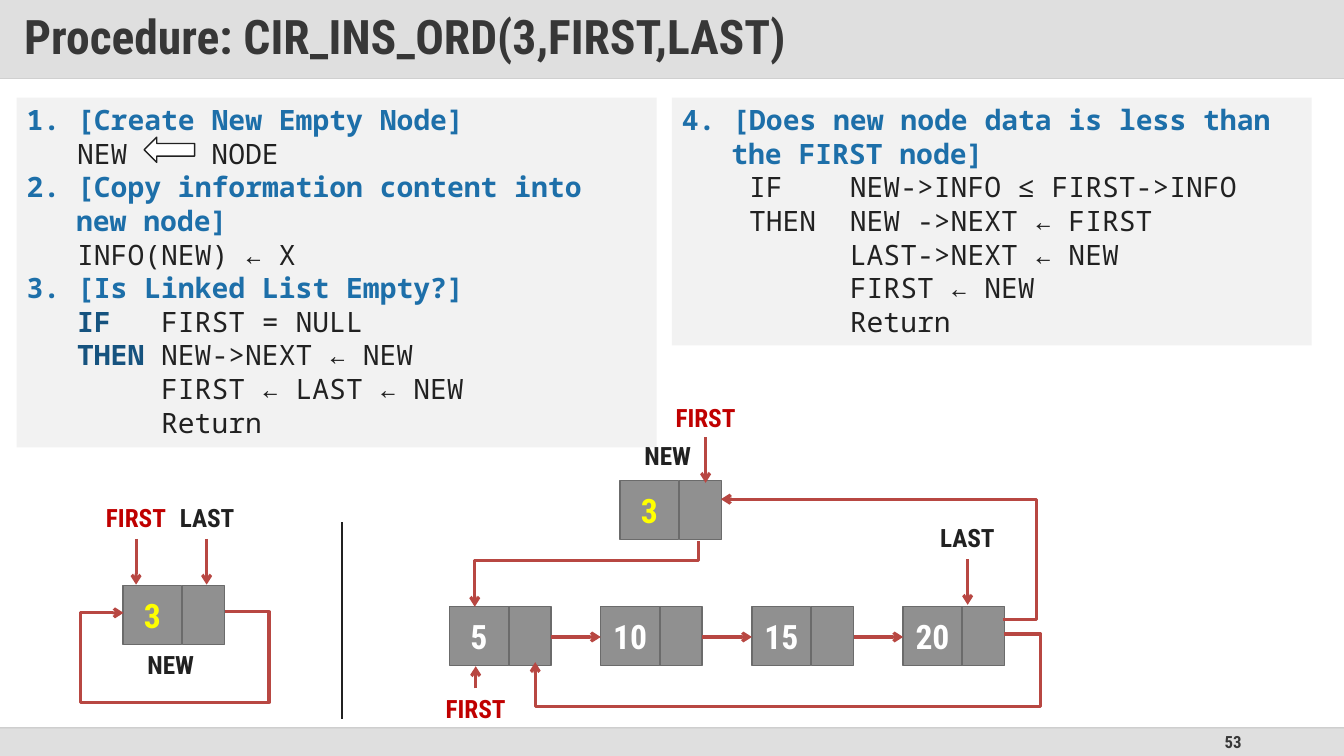
from lxml.etree import SubElement
from pptx import Presentation
from pptx.dml.color import RGBColor
from pptx.enum.shapes import MSO_CONNECTOR, MSO_SHAPE
from pptx.enum.text import MSO_ANCHOR, PP_ALIGN
from pptx.oxml.ns import qn
from pptx.util import Pt

WHITE = RGBColor(0xFF, 0xFF, 0xFF)
PANEL_GRAY = RGBColor(0xF2, 0xF2, 0xF2)
FOOTER_GRAY = RGBColor(0xDF, 0xDF, 0xDF)
TITLE_GRAY = RGBColor(0xC0, 0xC0, 0xC0)
TOP_RULE = RGBColor(0xD9, 0xD9, 0xD9)
BOTTOM_RULE = RGBColor(0xBF, 0xBF, 0xBF)
NODE_FILL = RGBColor(0x90, 0x90, 0x90)
NODE_BORDER = RGBColor(0x6B, 0x6B, 0x6B)
HEADING_GRAY = RGBColor(0x37, 0x37, 0x37)
INK = RGBColor(0x21, 0x21, 0x21)
STEP_BLUE = RGBColor(0x1D, 0x6F, 0xA9)
KEYWORD_BLUE = RGBColor(0x16, 0x53, 0x7F)
ARROW_RED = RGBColor(0xB8, 0x47, 0x42)
FIRST_RED = RGBColor(0xC0, 0x00, 0x00)
YELLOW = RGBColor(0xFF, 0xFF, 0x00)

HEADING_FONT = "Roboto Condensed"
CODE_FONT = "Noto Sans Mono"
NODE_SIZE = 42
POINTER_OFFSET = 42.5
POINTER_WIDTH = 30
STEP_INDENT = 35.28


def set_opacity(shape, percent):
    color = next(shape._element.spPr.iter(qn("a:srgbClr")))
    SubElement(color, qn("a:alpha")).set("val", str(percent * 1000))


def add_tab_stops(paragraph, positions):
    tab_list = SubElement(paragraph._p.get_or_add_pPr(), qn("a:tabLst"))
    for position in positions:
        tab = SubElement(tab_list, qn("a:tab"))
        tab.set("pos", str(Pt(position)))
        tab.set("algn", "l")


class SlideBuilder:
    def __init__(self, slide):
        self.slide = slide

    def style_paragraph(self, paragraph, size, color, name=HEADING_FONT, bold=True):
        font = paragraph.font
        font.name, font.size, font.bold = name, Pt(size), bold
        font.color.rgb = color

    def shape(self, left, top, width, height, fill, border=None, kind=MSO_SHAPE.RECTANGLE):
        shape = self.slide.shapes.add_shape(kind, Pt(left), Pt(top), Pt(width), Pt(height))
        shape.shadow.inherit = False
        shape.fill.solid()
        shape.fill.fore_color.rgb = fill
        if border is None:
            shape.line.fill.background()
        else:
            shape.line.color.rgb = border
            shape.line.width = Pt(1)
        return shape

    def text(self, shape, text, size, color, align=PP_ALIGN.CENTER, anchor=MSO_ANCHOR.MIDDLE):
        shape.text_frame.vertical_anchor = anchor
        paragraph = shape.text_frame.paragraphs[0]
        paragraph.text = text
        paragraph.alignment = align
        self.style_paragraph(paragraph, size, color)
        return paragraph

    def text_box(self, left, top, width, height):
        return self.slide.shapes.add_textbox(Pt(left), Pt(top), Pt(width), Pt(height))

    def label(self, center, top, text, color=INK):
        box = self.text_box(center - 29, top, 58, 29)
        box.text_frame.word_wrap = False
        self.text(box, text, 18, color, anchor=MSO_ANCHOR.TOP)

    def line(self, start, end, color, width):
        connector = self.slide.shapes.add_connector(
            MSO_CONNECTOR.STRAIGHT, *(Pt(value) for value in start + end))
        connector.line.color.rgb = color
        connector.line.width = Pt(width)
        SubElement(connector._element.spPr, qn("a:effectLst"))
        return connector

    def arrow(self, *points):
        """Draw a straight arrow through two points, or a bent one through more."""
        if len(points) == 2:
            shape = self.line(*points, ARROW_RED, 2.25)
        else:
            corners = [(Pt(x), Pt(y)) for x, y in points]
            builder = self.slide.shapes.build_freeform(*corners[0])
            builder.add_line_segments(corners[1:], close=False)
            shape = builder.convert_to_shape()
            shape.shadow.inherit = False
            shape.fill.background()
            shape.line.color.rgb = ARROW_RED
            shape.line.width = Pt(2.25)
        outline = shape._element.spPr.find(qn("a:ln"))
        SubElement(outline, qn("a:tailEnd")).set("type", "arrow")

    def node(self, left, top, value, color=WHITE):
        data = self.shape(left, top, NODE_SIZE, NODE_SIZE, NODE_FILL, NODE_BORDER)
        self.text(data, value, 24, color)
        self.shape(left + POINTER_OFFSET, top, POINTER_WIDTH, NODE_SIZE, NODE_FILL, NODE_BORDER)

    def code_panel(self, left, height, tab_stops, lines):
        """Fill a panel; numbered lines are steps, (keyword, rest) lines have a bold keyword."""
        panel = self.shape(left, 69.8, 457, height, PANEL_GRAY)
        frame = panel.text_frame
        frame.word_wrap = True
        frame.vertical_anchor = MSO_ANCHOR.TOP
        for index, line in enumerate(lines):
            paragraph = frame.paragraphs[0] if index == 0 else frame.add_paragraph()
            paragraph.alignment = PP_ALIGN.LEFT
            is_step = line[0][0].isdigit()
            if is_step:
                properties = paragraph._p.get_or_add_pPr()
                properties.set("marL", str(Pt(STEP_INDENT)))
                properties.set("indent", str(-Pt(STEP_INDENT)))
            else:
                add_tab_stops(paragraph, tab_stops)
            self.style_paragraph(paragraph, 20, STEP_BLUE if is_step else INK, CODE_FONT, is_step)
            if isinstance(line, tuple):
                keyword = paragraph.add_run()
                keyword.text = line[0]
                keyword.font.bold = True
                keyword.font.color.rgb = KEYWORD_BLUE
                paragraph.add_run().text = line[1]
            else:
                paragraph.add_run().text = line


def add_frame(builder):
    builder.shape(0, 519.8, 960, 20.2, FOOTER_GRAY)
    number = builder.text_box(678, 519.8, 216, 20.2)
    builder.text(number, "53", 12, HEADING_GRAY, PP_ALIGN.RIGHT)
    builder.line((0, 56.2), (960, 56.2), TOP_RULE, 1)
    set_opacity(builder.line((0, 519.8), (960, 519.8), BOTTOM_RULE, 1), 70)
    title = builder.shape(0, 0, 960, 56.2, TITLE_GRAY)
    set_opacity(title, 50)
    frame = title.text_frame
    frame.word_wrap = True
    frame.margin_left = frame.margin_right = Pt(17.3)
    frame.margin_top = frame.margin_bottom = Pt(8.6)
    heading = builder.text(title, "Procedure: CIR_INS_ORD(3,FIRST,LAST)", 34, HEADING_GRAY, PP_ALIGN.LEFT)
    heading.line_spacing = 0.9


def add_procedure(builder):
    builder.code_panel(12, 249.8, (36, 96, 132), [
        "1. [Create New Empty Node]",
        "\tNEW\t\tNODE",
        "2. [Copy information content into new node]",
        "\tINFO(NEW) ← X",
        "3. [Is Linked List Empty?]",
        ("\tIF", "\tFIRST = NULL"),
        ("\tTHEN", "\tNEW->NEXT ← NEW"),
        "\t\tFIRST ← LAST ← NEW",
        "\t\tReturn"])
    builder.code_panel(480, 177, (48, 120), [
        "4. [Does new node data is less than the FIRST node]",
        "\tIF\tNEW->INFO ≤ FIRST->INFO",
        "\tTHEN\tNEW ->NEXT ← FIRST",
        "\t\tLAST->NEXT ← NEW",
        "\t\tFIRST ← NEW",
        "\t\tReturn"])
    builder.shape(103, 98, 36, 18, WHITE, INK, MSO_SHAPE.LEFT_ARROW)


def add_single_node_list(builder):
    builder.node(87.8, 418.3, "3", YELLOW)
    builder.arrow((160.6, 437), (192.2, 437), (192.2, 501.8), (57.6, 501.8), (57.6, 437.8), (88.3, 437.8))
    builder.label(97.2, 355, "FIRST", FIRST_RED)
    builder.label(148, 355, "LAST")
    builder.label(122, 460, "NEW")
    for x in (97.2, 147.6):
        builder.arrow((x, 385), (x, 417.6))


def add_ordered_list(builder):
    first_left, step, top = 321.1, 108, 433.4
    for index, value in enumerate(("5", "10", "15", "20")):
        left = first_left + index * step
        builder.node(left, top, value)
        if index > 0:
            builder.arrow((left - 35.3, 455), (left, 455))
    builder.node(442.8, 343.4, "3", YELLOW)
    builder.arrow((717.1, 452.9), (743.4, 452.9), (743.4, 504.7), (382.3, 504.7), (382.3, 473))
    builder.arrow((499, 386.6), (499, 400.3), (339.1, 400.3), (339.1, 433.4))
    builder.arrow((716.4, 442.6), (740.4, 442.6), (740.4, 356.6), (515, 356.6))
    builder.label(339.8, 491.8, "FIRST", FIRST_RED)
    builder.arrow((339.8, 491.8), (339.8, 475.9))
    builder.label(477, 311, "NEW")
    builder.label(504, 283.7, "FIRST", FIRST_RED)
    builder.arrow((504, 312.5), (504, 344.9))
    builder.label(691, 369.4, "LAST")
    builder.arrow((691.2, 399.6), (691.2, 432))


def main():
    presentation = Presentation()
    presentation.slide_width, presentation.slide_height = Pt(960), Pt(540)
    builder = SlideBuilder(presentation.slides.add_slide(presentation.slide_layouts[6]))
    add_frame(builder)
    add_procedure(builder)
    builder.line((244, 373), (244, 513.4), INK, 1.5)
    add_single_node_list(builder)
    add_ordered_list(builder)
    presentation.save("out.pptx")


if __name__ == "__main__":
    main()
